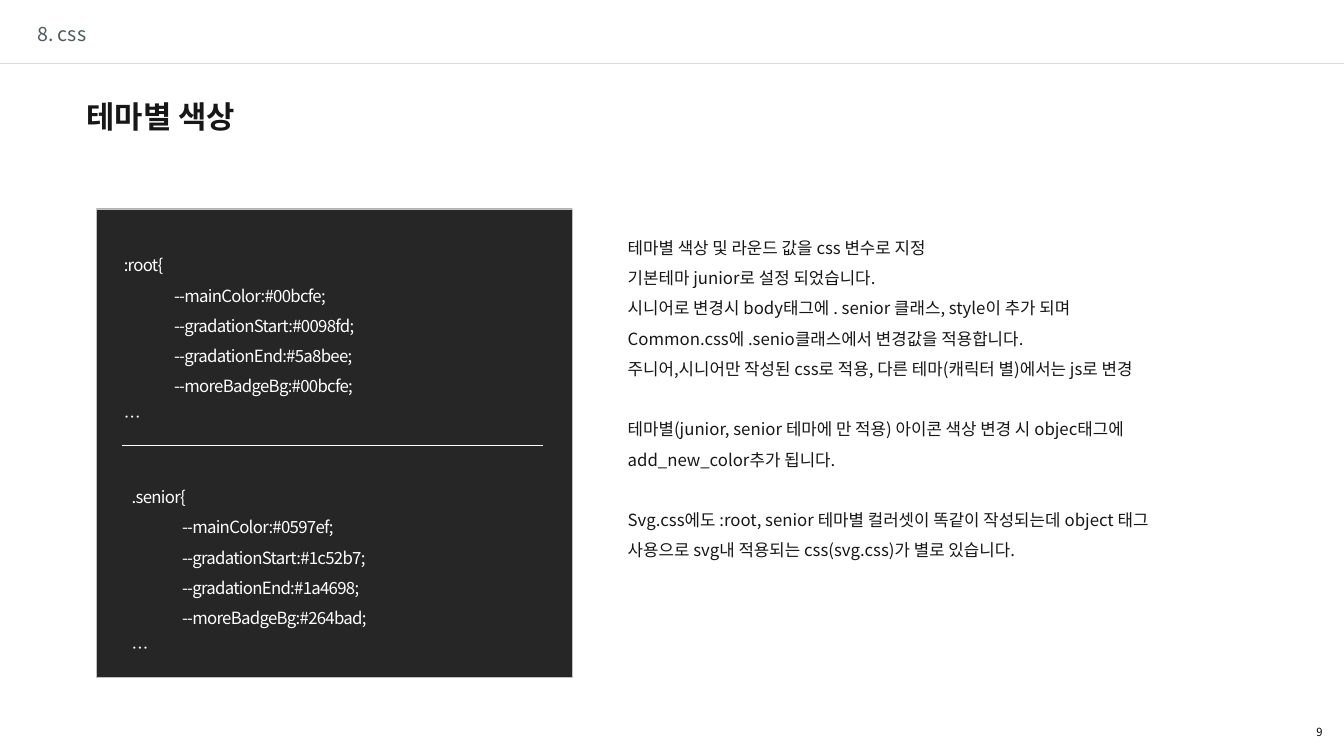
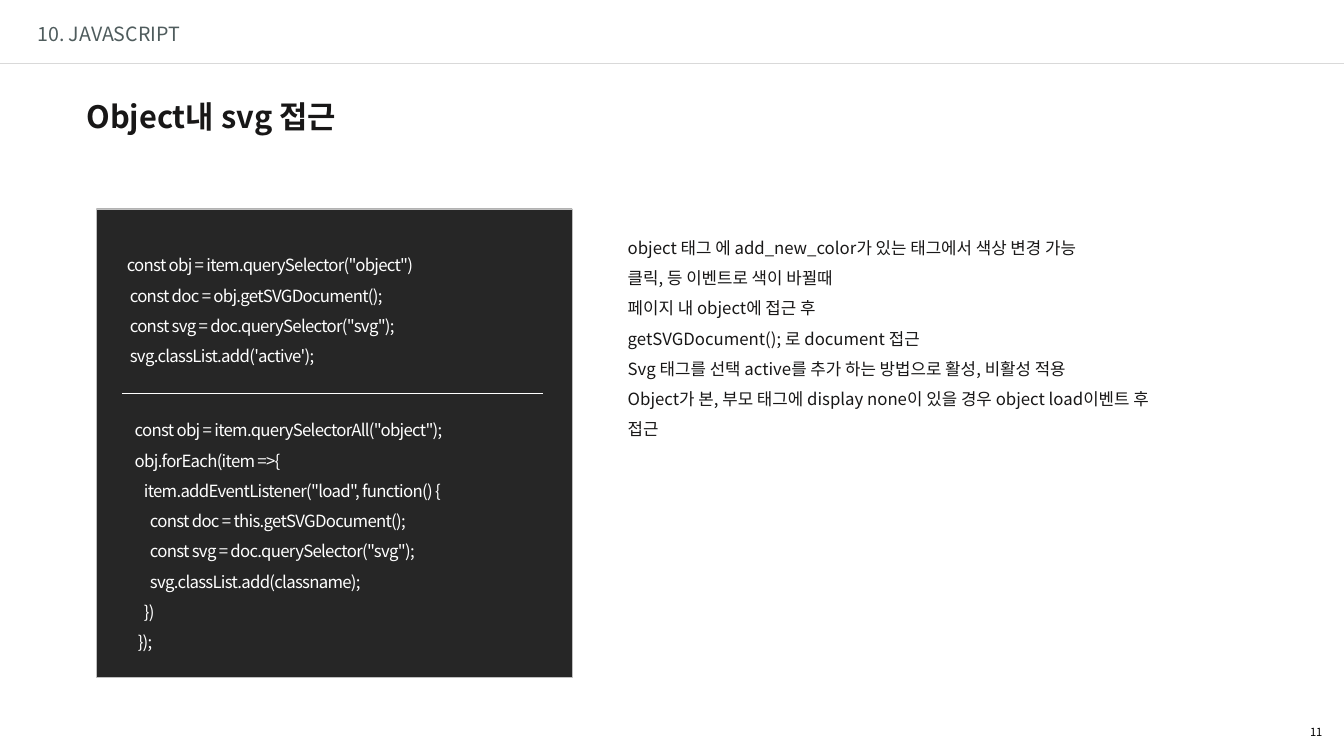
from lxml.etree import SubElement
from pptx import Presentation
from pptx.dml.color import RGBColor
from pptx.enum.shapes import MSO_CONNECTOR, MSO_SHAPE
from pptx.enum.text import MSO_ANCHOR, MSO_AUTO_SIZE, PP_ALIGN
from pptx.oxml.ns import qn
from pptx.util import Cm, Pt

COLORS = {
    "section": "4F5C5D",
    "ink": "181717",
    "page": "000000",
    "panel": "262626",
    "panel_edge": "BFBFBF",
    "code": "FFFFFF",
    "rule": "D9D9D9",
}
FONT = "Noto Sans CJK KR"
LINE_HEIGHT = 0.76
BOX_PADDING = 0.25

PAGES = [
    {
        "number": "9",
        "section": "8. css",
        "section_width": 1.88,
        "title": "테마별 색상",
        "divider_top": 11.23,
        "snippets": [
            (2.87, 6.05, [
                ":root{",
                "\t--mainColor:#00bcfe;",
                "\t--gradationStart:#0098fd;",
                "\t--gradationEnd:#5a8bee;",
                "\t--moreBadgeBg:#00bcfe;",
                "…",
            ]),
            (3.07, 11.89, [
                ".senior{",
                "\t--mainColor:#0597ef;",
                "\t--gradationStart:#1c52b7;",
                "\t--gradationEnd:#1a4698;",
                "\t--moreBadgeBg:#264bad;",
                "…",
            ]),
        ],
        "notes_height": 9.42,
        "notes": [
            [
                "테마별 색상 및 라운드 값을 css 변수로 지정",
                "기본테마 junior로 설정 되었습니다.",
                "시니어로 변경시 body태그에 . senior 클래스, style이 추가 되며",
                "Common.css에 .senio클래스에서 변경값을 적용합니다.",
                "주니어,시니어만 작성된 css로 적용, 다른 테마(캐릭터 별)에서는 js로 변경",
            ],
            ["테마별(junior, senior 테마에 만 적용) 아이콘 색상 변경 시 objec태그에 "
             "add_new_color추가 됩니다."],
            ["Svg.css에도 :root, senior 테마별 컬러셋이 똑같이 작성되는데 object 태그 "
             "사용으로 svg내 적용되는 css(svg.css)가 별로 있습니다."],
        ],
    },
    {
        "number": "11",
        "section": "10. JAVASCRIPT",
        "section_width": 4.34,
        "title": "Object내 svg 접근",
        "divider_top": 9.91,
        "snippets": [
            (2.87, 6.05, [
                ' const obj = item.querySelector("object")',
                "  const doc = obj.getSVGDocument();",
                '  const svg = doc.querySelector("svg");',
                "  svg.classList.add('active');",
            ]),
            (3.07, 10.21, [
                ' const obj = item.querySelectorAll("object");',
                " obj.forEach(item =>{",
                '    item.addEventListener("load", function() {',
                "      const doc = this.getSVGDocument();",
                '      const svg = doc.querySelector("svg");',
                "      svg.classList.add(classname);",
                "    })",
                "  });",
            ]),
        ],
        "notes_height": 4.8,
        "notes": [
            [
                "object 태그 에 add_new_color가 있는 태그에서 색상 변경 가능",
                "클릭, 등 이벤트로 색이 바뀔때",
                "페이지 내 object에 접근 후",
                "getSVGDocument(); 로 document 접근",
                "Svg 태그를 선택 active를 추가 하는 방법으로 활성, 비활성 적용",
                "Object가 본, 부모 태그에 display none이 있을 경우 object load이벤트 후 접근",
            ],
        ],
    },
]


def add_text(slide, left, top, width, height, lines, size, color,
             bold=False, line_spacing=None, tracking=None):
    frame = slide.shapes.add_textbox(Cm(left), Cm(top), Cm(width), Cm(height)).text_frame
    frame.word_wrap = True
    frame.auto_size = MSO_AUTO_SIZE.SHAPE_TO_FIT_TEXT
    for index, line in enumerate(lines):
        paragraph = frame.add_paragraph() if index else frame.paragraphs[0]
        paragraph.text = line
        if line_spacing:
            paragraph.line_spacing = line_spacing
        font = paragraph.font
        font.size = Pt(size)
        font.bold = bold
        font.color.rgb = RGBColor.from_string(COLORS[color])
        font.name = FONT
        SubElement(font._element, qn("a:ea"), typeface=FONT)
        if tracking:
            font._element.set("spc", str(tracking))
    return frame


def add_rule(slide, left, right, top, color):
    rule = slide.shapes.add_connector(
        MSO_CONNECTOR.STRAIGHT, Cm(left), Cm(top), Cm(right), Cm(top))
    rule.line.color.rgb = RGBColor.from_string(COLORS[color])
    rule.line.width = Pt(0.5)
    SubElement(rule._element.spPr, qn("a:effectLst"))


presentation = Presentation()
presentation.slide_width = Cm(33.87)
presentation.slide_height = Cm(19.05)

for page in PAGES:
    slide = presentation.slides.add_slide(presentation.slide_layouts[6])
    add_rule(slide, 0, 33.87, 1.6, "rule")

    page_number = add_text(slide, 25.96, 18.26, 7.62, 0.36, [page["number"]], 8, "page")
    page_number.auto_size = MSO_AUTO_SIZE.NONE
    page_number.vertical_anchor = MSO_ANCHOR.MIDDLE
    page_number.margin_top = page_number.margin_bottom = 0
    page_number.paragraphs[0].alignment = PP_ALIGN.RIGHT

    section = add_text(slide, 0.69, 0.43, page["section_width"], 0.86,
                       [page["section"]], 14, "section")
    section.word_wrap = False
    add_text(slide, 1.93, 2.34, 30, 1.19, [page["title"]], 22, "ink", bold=True)

    panel = slide.shapes.add_shape(
        MSO_SHAPE.RECTANGLE, Cm(2.43), Cm(5.26), Cm(11.99), Cm(11.81))
    panel.shadow.inherit = False
    panel.fill.solid()
    panel.fill.fore_color.rgb = RGBColor.from_string(COLORS["panel"])
    panel.line.color.rgb = RGBColor.from_string(COLORS["panel_edge"])
    panel.line.width = Pt(0.25)

    for left, top, code in page["snippets"]:
        add_text(slide, left, top, 10.54, len(code) * LINE_HEIGHT + BOX_PADDING,
                 code, 12, "code", line_spacing=1.5, tracking=-50)
    add_rule(slide, 3.07, 13.69, page["divider_top"], "code")

    notes = add_text(slide, 15.57, 5.61, 14.22, page["notes_height"],
                     [line for group in page["notes"] for line in group],
                     12, "ink", line_spacing=1.5)
    group_start = 0
    for group in page["notes"][:-1]:
        group_start += len(group)
        notes.paragraphs[group_start].space_before = Pt(21.6)

presentation.save("out.pptx")
